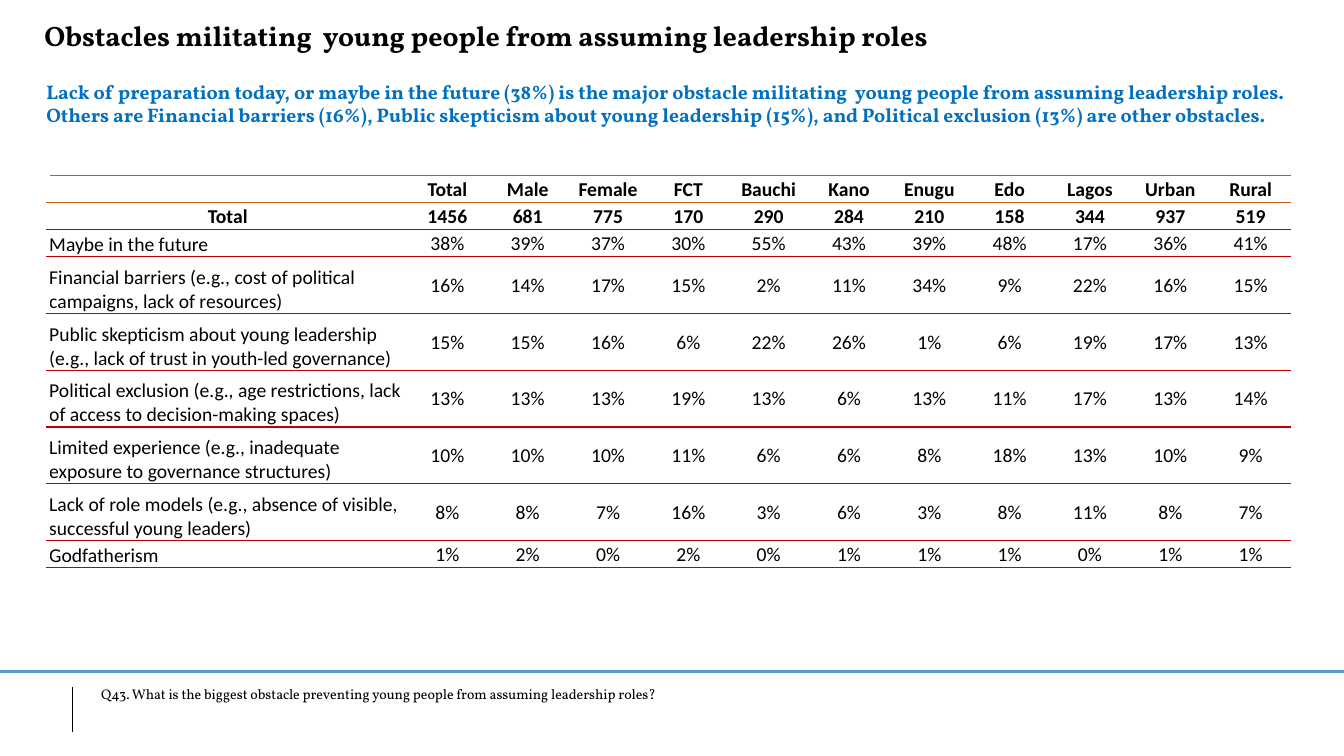
from lxml import etree
from pptx import Presentation
from pptx.dml.color import RGBColor
from pptx.enum import shapes, text
from pptx.oxml import ns
from pptx.util import Pt

BLACK = RGBColor(0x00, 0x00, 0x00)
WHITE = RGBColor(0xFF, 0xFF, 0xFF)
BLUE = RGBColor(0x00, 0x70, 0xC0)
FOOTER_BLUE = RGBColor(0x5B, 0x9B, 0xD5)
ORANGE = RGBColor(0xC5, 0x5A, 0x11)
RED = RGBColor(0xC0, 0x00, 0x00)

SLIDE_WIDTH, SLIDE_HEIGHT = 960, 540
LABEL_WIDTH, VALUE_WIDTH = 256.4, 57.4
SINGLE_ROW, DOUBLE_ROW = 19.4, 40.55

TITLE = "Obstacles militating  young people from assuming leadership roles"
SUMMARY = (
    "Lack of preparation today, or maybe in the future (38%) is the major obstacle "
    "militating  young people from assuming leadership roles. Others are Financial "
    "barriers (16%), Public skepticism about young leadership (15%), and Political "
    "exclusion (13%) are other obstacles."
)
QUESTION = (
    "Q43. What is the biggest obstacle preventing young people from assuming "
    "leadership roles?"
)
GROUPS = ["Total", "Male", "Female", "FCT", "Bauchi", "Kano", "Enugu", "Edo",
          "Lagos", "Urban", "Rural"]
SAMPLES = [1456, 681, 775, 170, 290, 284, 210, 158, 344, 937, 519]
OBSTACLES = [
    ("Maybe in the future",
     [38, 39, 37, 30, 55, 43, 39, 48, 17, 36, 41]),
    ("Financial barriers (e.g., cost of political campaigns, lack of resources)",
     [16, 14, 17, 15, 2, 11, 34, 9, 22, 16, 15]),
    ("Public skepticism about young leadership (e.g., lack of trust in youth-led governance)",
     [15, 15, 16, 6, 22, 26, 1, 6, 19, 17, 13]),
    ("Political exclusion (e.g., age restrictions, lack of access to decision-making spaces)",
     [13, 13, 13, 19, 13, 6, 13, 11, 17, 13, 14]),
    ("Limited experience (e.g., inadequate exposure to governance structures)",
     [10, 10, 10, 11, 6, 6, 8, 18, 13, 10, 9]),
    ("Lack of role models (e.g., absence of visible, successful young leaders)",
     [8, 8, 7, 16, 3, 6, 3, 8, 11, 8, 7]),
    ("Godfatherism",
     [1, 2, 0, 2, 0, 1, 1, 1, 0, 1, 1]),
]


def format_paragraph(paragraph, name, size, color, bold=False,
                     alignment=text.PP_ALIGN.LEFT):
    paragraph.alignment = alignment
    font = paragraph.font
    font.name, font.size, font.bold = name, Pt(size), bold
    font.color.rgb = color


def fill_text(shape, wording, size, color, bold=False):
    frame = shape.text_frame
    frame.text = wording
    frame.word_wrap = True
    frame.auto_size = text.MSO_AUTO_SIZE.NONE
    frame.vertical_anchor = text.MSO_ANCHOR.TOP
    format_paragraph(frame.paragraphs[0], "Vollkorn", size, color, bold)


def add_heading(slide, left, top, width):
    title = slide.shapes.title
    title.left, title.top = Pt(left), Pt(top)
    title.width, title.height = Pt(679), Pt(31.5)
    fill_text(title, TITLE, 20, BLACK, bold=True)
    summary = slide.shapes.add_textbox(Pt(left + 1.5), Pt(top + 44), Pt(width), Pt(41))
    fill_text(summary, SUMMARY, 14, BLUE, bold=True)


def add_line(slide, start, end, color, width):
    line = slide.shapes.add_connector(
        shapes.MSO_CONNECTOR.STRAIGHT, *(Pt(value) for value in start + end))
    line.line.color.rgb = color
    line.line.width = Pt(width)
    etree.SubElement(line.element.spPr, ns.qn("a:effectLst"))


def add_footer(slide, top):
    add_line(slide, (0, top), (SLIDE_WIDTH, top), FOOTER_BLUE, 2.25)
    add_line(slide, (51.8, top + 11.5), (51.8, top + 43.5), BLACK, 0.5)
    question = slide.shapes.add_textbox(Pt(65.2), Pt(top + 6.5), Pt(838), Pt(19.4))
    fill_text(question, QUESTION, 10, BLACK)


def set_border(cell, side, color=None, width=1):
    """Draw one side (L, R, T or B) of a cell, or clear it when no colour is given."""
    properties = cell._tc.get_or_add_tcPr()
    line = etree.SubElement(properties, ns.qn(f"a:ln{side}"), w=str(Pt(width)))
    if color is None:
        etree.SubElement(line, ns.qn("a:noFill"))
    else:
        fill = etree.SubElement(line, ns.qn("a:solidFill"))
        etree.SubElement(fill, ns.qn("a:srgbClr"), val=str(color))


def format_cell(cell, row, column):
    is_label = column == 0 and row > 1
    cell.margin_left = cell.margin_right = cell.margin_top = Pt(0.7)
    cell.margin_bottom = 0
    cell.vertical_anchor = text.MSO_ANCHOR.BOTTOM if is_label else text.MSO_ANCHOR.MIDDLE
    paragraph = cell.text_frame.paragraphs[0]
    format_paragraph(paragraph, "Calibri", 14, BLACK, row < 2,
                     text.PP_ALIGN.LEFT if is_label else text.PP_ALIGN.CENTER)
    if not cell.text:
        etree.SubElement(paragraph._p, ns.qn("a:endParaRPr"), sz="1400")
    set_border(cell, "L", WHITE if column == 0 else None, 3 if column == 0 else 1)
    set_border(cell, "R")
    set_border(cell, "T", ORANGE if row < 2 else RED)
    set_border(cell, "B", ORANGE if row < 1 else RED)
    cell.fill.background()


def add_obstacle_table(slide, left, top):
    rows = [["", *GROUPS], ["Total", *SAMPLES]]
    rows += [[label, *(f"{share}%" for share in shares)] for label, shares in OBSTACLES]
    heights = [DOUBLE_ROW if len(row[0]) > 40 else SINGLE_ROW for row in rows]
    widths = [LABEL_WIDTH] + [VALUE_WIDTH] * len(GROUPS)
    table = slide.shapes.add_table(
        len(rows), len(widths), Pt(left), Pt(top), Pt(sum(widths)), Pt(sum(heights))).table
    table.first_row = table.horz_banding = False
    for column, width in zip(table.columns, widths):
        column.width = Pt(width)
    for row_index, (values, height) in enumerate(zip(rows, heights)):
        table.rows[row_index].height = Pt(height)
        for column_index, value in enumerate(values):
            cell = table.cell(row_index, column_index)
            cell.text = str(value)
            format_cell(cell, row_index, column_index)


def main():
    presentation = Presentation()
    presentation.slide_width, presentation.slide_height = Pt(SLIDE_WIDTH), Pt(SLIDE_HEIGHT)
    slide = presentation.slides.add_slide(presentation.slide_layouts[5])
    add_footer(slide, 479.5)
    add_heading(slide, 24.5, 9.4, 922.3)
    add_obstacle_table(slide, 34.5, 125.2)
    presentation.save("out.pptx")


if __name__ == "__main__":
    main()
